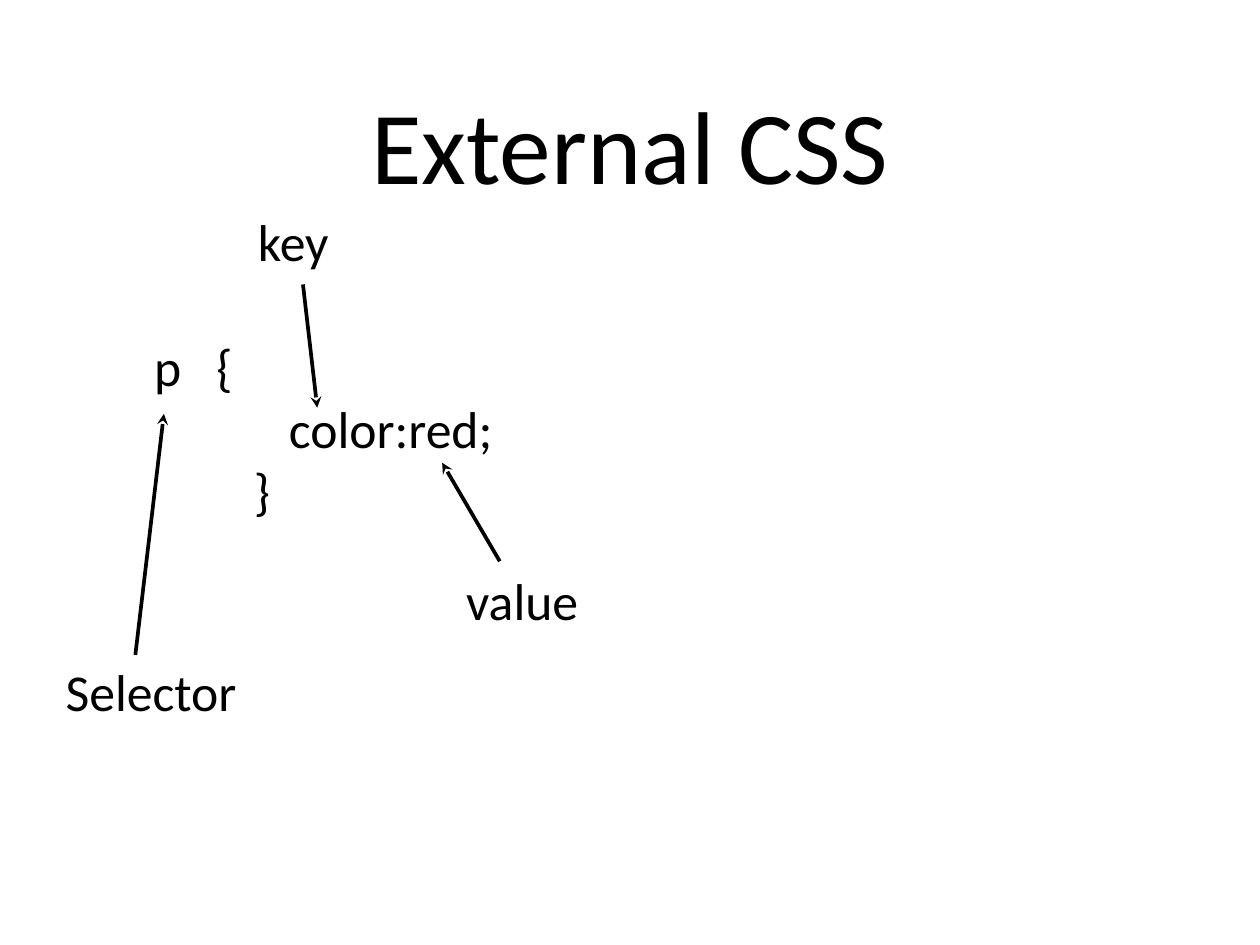
import pptx
import pptx.dml.color
import pptx.enum.shapes
import pptx.enum.text
import pptx.oxml.ns
import pptx.util
from lxml import etree

Pt = pptx.util.Pt
ALIGN = pptx.enum.text.PP_ALIGN
BLACK = pptx.dml.color.RGBColor(0, 0, 0)

SLIDE_SIZE = (1023.88, 767.75)
CODE_INDENT = 81
TITLE = {"lines": [("External CSS", 0)], "box": (100, 20.2, 823.7, 192.2),
         "size": 84, "align": ALIGN.CENTER, "margin": 4.3}
CODE = {"lines": [("p   {", 0), ("   color:red;", 2), ("}", 2)],
        "box": (125.3, 270.3, 745.2, 154.8), "size": 42, "align": ALIGN.LEFT}
LABEL_HEIGHT = 50.4
LABELS = [
    {"text": "Selector", "corner": (43.2, 536.4), "width": 159.1,
     "target": (133.2, 336.2), "start": (110, 532.1)},
    {"text": "key", "corner": (204.5, 170.2), "width": 67.7,
     "target": (257.8, 331.2), "start": (246.2, 231.1)},
    {"text": "value", "corner": (371.8, 462.2), "width": 105.1,
     "target": (359.3, 376), "start": (406.1, 456)},
]
FRAME_FORMAT = {"vertical_anchor": pptx.enum.text.MSO_ANCHOR.MIDDLE,
                "auto_size": pptx.enum.text.MSO_AUTO_SIZE.NONE}
MARGINS = ("margin_left", "margin_top", "margin_right", "margin_bottom")


def set_attributes(target, values):
    for name, value in values.items():
        setattr(target, name, value)


def add_text(slide, lines, box, size, align, margin=0, wrap=True):
    frame = slide.shapes.add_textbox(*map(Pt, box)).text_frame
    set_attributes(frame, FRAME_FORMAT | {"word_wrap": wrap}
                   | dict.fromkeys(MARGINS, Pt(margin)))
    for index, (text, level) in enumerate(lines):
        paragraph = frame.add_paragraph() if index else frame.paragraphs[0]
        set_attributes(paragraph, {"alignment": align, "level": level})
        if level:
            properties = paragraph._p.get_or_add_pPr()
            properties.set("marL", str(Pt(CODE_INDENT)))
            properties.set("indent", "0")
        run = paragraph.add_run()
        run.text = text
        set_attributes(run.font, {"name": "Calibri", "size": Pt(size)})
        run.font.color.rgb = BLACK


def add_arrow(slide, target, start):
    arrow = slide.shapes.add_connector(
        pptx.enum.shapes.MSO_CONNECTOR.STRAIGHT, *map(Pt, target + start))
    arrow.line.width = Pt(3)
    arrow.line.color.rgb = BLACK
    qualified = pptx.oxml.ns.qn
    etree.SubElement(arrow.line._get_or_add_ln(), qualified("a:headEnd"), type="stealth")
    etree.SubElement(arrow._element.spPr, qualified("a:effectLst"))


def main():
    presentation = pptx.Presentation()
    width, height = map(Pt, SLIDE_SIZE)
    set_attributes(presentation, {"slide_width": width, "slide_height": height})
    slide = presentation.slides.add_slide(presentation.slide_layouts[6])
    for block in (TITLE, CODE):
        add_text(slide, **block)
    for label in LABELS:
        box = (*label["corner"], label["width"], LABEL_HEIGHT)
        add_text(slide, [(label["text"], 0)], box, 42, ALIGN.CENTER, wrap=False)
        add_arrow(slide, label["target"], label["start"])
    presentation.save("out.pptx")


if __name__ == "__main__":
    main()
